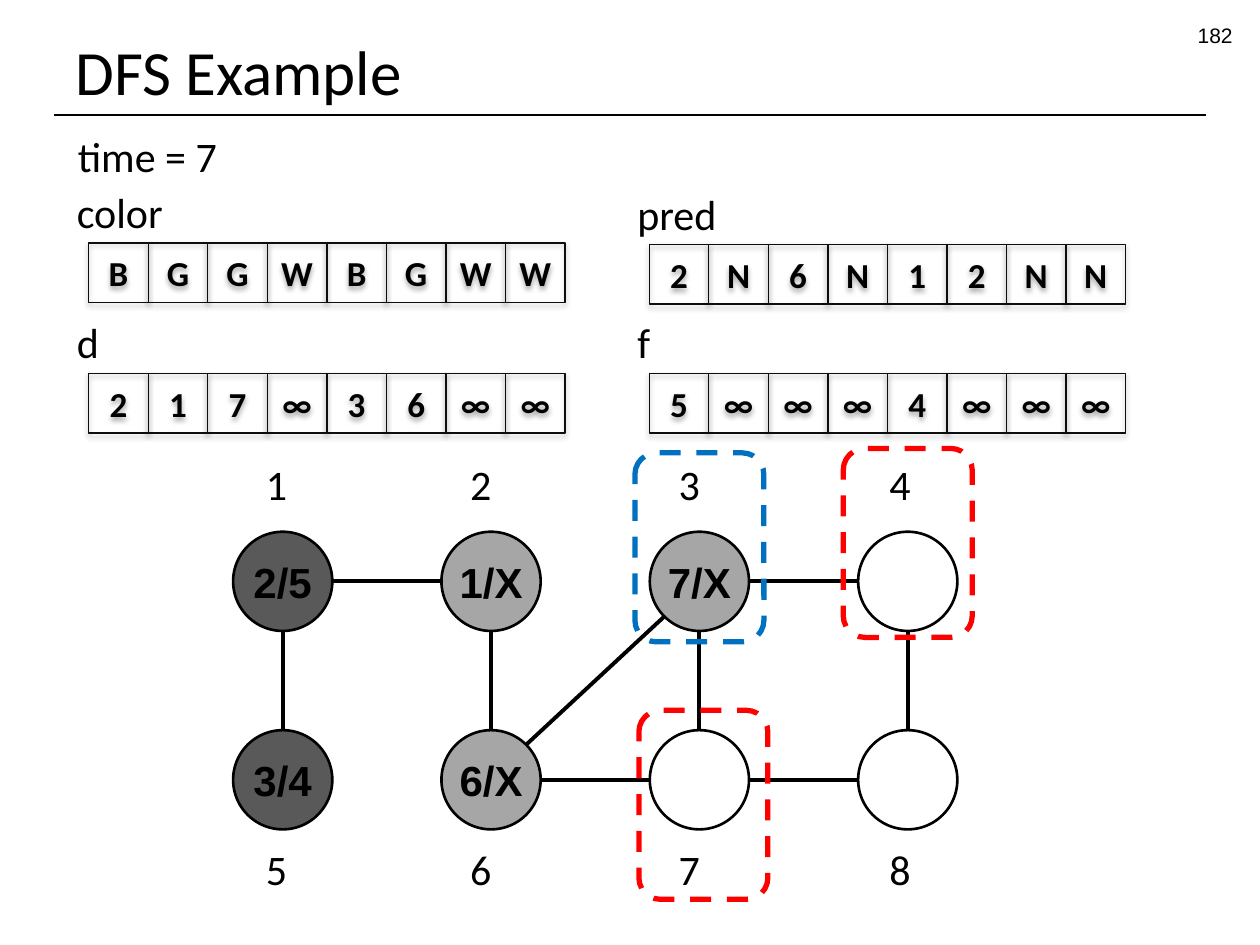
from dataclasses import dataclass
from math import hypot
from typing import Optional

from lxml.etree import SubElement
from pptx import Presentation
from pptx.dml.color import RGBColor
from pptx.enum.dml import MSO_LINE
from pptx.enum.shapes import MSO_CONNECTOR, MSO_SHAPE
from pptx.enum.text import MSO_ANCHOR, MSO_AUTO_SIZE, PP_ALIGN
from pptx.oxml.ns import qn
from pptx.util import Cm, Pt

BLACK = RGBColor(0x00, 0x00, 0x00)
CELL_LINE = RGBColor(0x0D, 0x0D, 0x0D)
DARK_GRAY = RGBColor(0x59, 0x59, 0x59)
LIGHT_GRAY = RGBColor(0xA6, 0xA6, 0xA6)
BLUE = RGBColor(0x00, 0x70, 0xC0)
RED = RGBColor(0xFF, 0x00, 0x00)

# All lengths in centimetres
CELL = 1.2
NODE = 2.0
NODE_LEFT, NODE_TOP = 4.7, 10.72
COLUMN_PITCH, ROW_PITCH = 4.2, 4.0
LABEL_LEFTS = (5.11, 9.23, 13.43, 17.68)
LABEL_TOPS = (9.12, 16.87)
LABEL_HEIGHT = 1.27


@dataclass
class Array:
    name: str
    values: str
    left: float
    top: float
    name_left: float
    name_top: float
    name_width: float


@dataclass
class Node:
    number: int
    times: str = ""
    fill: Optional[RGBColor] = None

    @property
    def column(self) -> int:
        return (self.number - 1) % 4

    @property
    def row(self) -> int:
        return (self.number - 1) // 4

    @property
    def center(self) -> tuple[float, float]:
        return (NODE_LEFT + self.column * COLUMN_PITCH + NODE / 2,
                NODE_TOP + self.row * ROW_PITCH + NODE / 2)


@dataclass
class Highlight:
    left: float
    top: float
    color: RGBColor


ARRAYS = [
    Array("color", "B G G W B G W W", 1.79, 4.9, 1.3, 3.64, 2.26),
    Array("pred", "2 N 6 N 1 2 N N", 13.09, 4.93, 12.6, 3.68, 2.13),
    Array("d", "2 1 7 ∞ 3 6 ∞ ∞", 1.79, 7.53, 1.3, 6.25, 0.97),
    Array("f", "5 ∞ ∞ ∞ 4 ∞ ∞ ∞", 13.09, 7.53, 12.6, 6.25, 0.79),
]
NODES = [
    Node(1, "2/5", DARK_GRAY), Node(2, "1/X", LIGHT_GRAY),
    Node(3, "7/X", LIGHT_GRAY), Node(4),
    Node(5, "3/4", DARK_GRAY), Node(6, "6/X", LIGHT_GRAY),
    Node(7), Node(8),
]
EDGES = [(1, 5), (1, 2), (2, 6), (6, 3), (3, 7), (6, 7), (3, 4), (7, 8), (4, 8)]
HIGHLIGHTS = [Highlight(12.8, 9.13, BLUE), Highlight(17.0, 9.04, RED),
              Highlight(12.88, 14.32, RED)]


def set_text(shape, text: str, size: int, font: str = "Calibri",
             bold: bool = False, align=PP_ALIGN.LEFT) -> None:
    p = shape.text_frame.paragraphs[0]
    p.text = text
    p.alignment = align
    for r in p.runs:
        r.font.size, r.font.name, r.font.bold = Pt(size), font, bold
        r.font.color.rgb = BLACK


def add_label(s, text: str, left: float, top: float, width: float) -> None:
    box = s.shapes.add_textbox(Cm(left), Cm(top), Cm(width), Cm(LABEL_HEIGHT))
    box.text_frame.word_wrap = False
    box.text_frame.auto_size = MSO_AUTO_SIZE.SHAPE_TO_FIT_TEXT
    set_text(box, text, 24)


def add_outline(s, kind, left: float, top: float, width: float, height: float,
                color: RGBColor, weight: float, fill: Optional[RGBColor] = None):
    sp = s.shapes.add_shape(kind, Cm(left), Cm(top), Cm(width), Cm(height))
    sp.shadow.inherit = False
    if fill is None:
        sp.fill.background()
    else:
        sp.fill.solid()
        sp.fill.fore_color.rgb = fill
    sp.line.color.rgb = color
    sp.line.width = Pt(weight)
    sp.text_frame.word_wrap = False
    sp.text_frame.vertical_anchor = MSO_ANCHOR.MIDDLE
    return sp


def add_line(s, x1: float, y1: float, x2: float, y2: float, weight: float) -> None:
    line = s.shapes.add_connector(MSO_CONNECTOR.STRAIGHT,
                                  Cm(x1), Cm(y1), Cm(x2), Cm(y2))
    line.line.color.rgb = BLACK
    line.line.width = Pt(weight)
    SubElement(line._element.spPr, qn("a:effectLst"))


def add_cell_shadow(sp) -> None:
    effects = sp._element.spPr.find(qn("a:effectLst"))
    shadow = SubElement(effects, qn("a:outerShdw"), blurRad="40000", dist="23000",
                        dir="5400000", rotWithShape="0")
    color = SubElement(shadow, qn("a:srgbClr"), val=str(BLACK))
    SubElement(color, qn("a:alpha"), val="35000")


def add_array(s, array: Array) -> None:
    add_label(s, array.name, array.name_left, array.name_top, array.name_width)
    for i, value in enumerate(array.values.split()):
        cell = add_outline(s, MSO_SHAPE.RECTANGLE, array.left + i * CELL, array.top,
                           CELL, CELL, CELL_LINE, 0.75)
        add_cell_shadow(cell)
        set_text(cell, value, 20, bold=True, align=PP_ALIGN.CENTER)


def add_node(s, node: Node) -> None:
    x, y = node.center
    circle = add_outline(s, MSO_SHAPE.OVAL, x - NODE / 2, y - NODE / 2, NODE, NODE,
                         BLACK, 1.5, node.fill)
    if node.times:
        set_text(circle, node.times, 24, "Arial", True, PP_ALIGN.CENTER)
    add_label(s, str(node.number), LABEL_LEFTS[node.column], LABEL_TOPS[node.row], 0.94)


def add_edge(s, start: Node, end: Node) -> None:
    """Join two circles at their side or 45-degree points."""
    dx, dy = end.column - start.column, end.row - start.row
    reach = NODE / 2 / hypot(dx, dy)
    (x1, y1), (x2, y2) = start.center, end.center
    add_line(s, x1 + dx * reach, y1 + dy * reach,
             x2 - dx * reach, y2 - dy * reach, 2.25)


def main() -> None:
    prs = Presentation()
    prs.slide_width, prs.slide_height = Cm(25.4), Cm(19.05)
    s = prs.slides.add_slide(prs.slide_layouts[5])

    # Title, rule and page number
    title = s.shapes.title
    title.left, title.top, title.width, title.height = Cm(1.27), Cm(0.33), Cm(22.86), Cm(1.98)
    title.text_frame.vertical_anchor = MSO_ANCHOR.BOTTOM
    set_text(title, "DFS Example", 36)
    add_line(s, 1.09, 2.32, 24.31, 2.32, 0.75)
    page = s.shapes.add_textbox(Cm(19.18), Cm(0.33), Cm(5.92), Cm(0.71))
    page.text_frame.word_wrap = True
    set_text(page, "182", 12, "Arial", align=PP_ALIGN.RIGHT)

    # Search state
    add_label(s, "time = 7", 1.32, 2.5, 3.35)
    for array in ARRAYS:
        add_array(s, array)

    # Graph
    for start, end in EDGES:
        add_edge(s, NODES[start - 1], NODES[end - 1])
    for node in NODES:
        add_node(s, node)

    # Dashed frames around the current vertex and its neighbours
    for mark in HIGHLIGHTS:
        frame = add_outline(s, MSO_SHAPE.ROUNDED_RECTANGLE, mark.left, mark.top,
                            2.6, 3.81, mark.color, 3)
        frame.line.dash_style = MSO_LINE.DASH

    prs.save("out.pptx")


if __name__ == "__main__":
    main()
